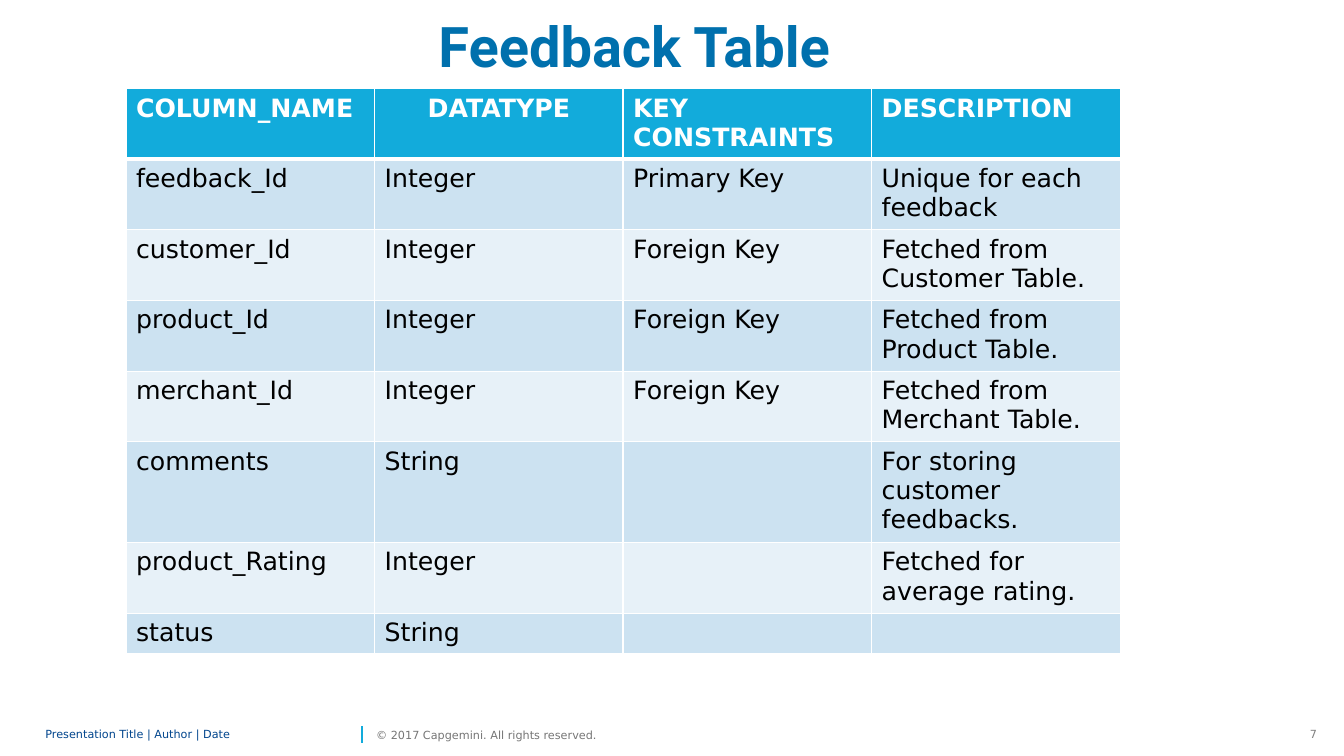
import pptx
import pptx.util
import pptx.dml.color
import pptx.enum.text
import pptx.enum.shapes
import pptx.oxml
import pptx.oxml.ns
from lxml import etree

Inches, Pt = pptx.util.Inches, pptx.util.Pt
RGBColor = pptx.dml.color.RGBColor
ALIGN = pptx.enum.text.PP_ALIGN
ANCHOR = pptx.enum.text.MSO_ANCHOR
qn = pptx.oxml.ns.qn

# Content
TITLE = "Feedback Table"
HEAD = ["COLUMN_NAME", "DATATYPE", "KEY CONSTRAINTS", "DESCRIPTION"]
ROWS = [
    ["feedback_Id", "Integer", "Primary Key", "Unique for each feedback"],
    ["customer_Id", "Integer", "Foreign Key", "Fetched from Customer Table."],
    ["product_Id", "Integer", "Foreign Key", "Fetched from Product Table."],
    ["merchant_Id", "Integer", "Foreign Key", "Fetched from Merchant Table."],
    ["comments", "String", "", "For storing customer feedbacks."],
    ["product_Rating", "Integer", "", "Fetched for average rating."],
    ["status", "String", "", ""],
]
HIGH = [0.69, 0.7, 0.7, 0.7, 0.7, 1.0, 0.7, 0.4]
FOOT = "Presentation Title | Author | Date"
RIGHTS = "© 2017 Capgemini. All rights reserved."
PAGE = "7"

# Style
SANS, ROBOTO = "DejaVu Sans", "Roboto"
WHITE = RGBColor(0xFF, 0xFF, 0xFF)
BLACK = RGBColor(0, 0, 0)
CYAN = RGBColor(0x12, 0xAB, 0xDB)
BLUE = RGBColor(0x00, 0x70, 0xAD)
NAVY = RGBColor(0x00, 0x45, 0x8D)
GRAY = RGBColor(0x80, 0x80, 0x80)
DIM = RGBColor(0x76, 0x76, 0x76)
BANDS = [RGBColor(0xCC, 0xE2, 0xF1), RGBColor(0xE7, 0xF1, 0xF8)]


def add_run(para, text, size, color, font=SANS, bold=False):
    run = para.add_run()
    run.text = text
    run.font.name = font
    run.font.size = Pt(size)
    run.font.bold = bold
    run.font.color.rgb = color


def add_text(area, text, size, color, font=SANS, bold=False, wrap=True, flush=False):
    box = slide.shapes.add_textbox(*map(Inches, area))
    frame = box.text_frame
    frame.word_wrap = wrap
    if flush:
        frame.margin_left = frame.margin_right = 0
        frame.margin_top = frame.margin_bottom = 0
        frame.vertical_anchor = ANCHOR.MIDDLE
    para = frame.paragraphs[0]
    add_run(para, text, size, color, font, bold)
    return para


def set_edges(cell, base):
    props = cell._tc.get_or_add_tcPr()
    sides = [("lnL", 1), ("lnR", 1), ("lnT", 1), ("lnB", base)]
    for spot, (tag, width) in enumerate(sides):
        line = etree.Element(qn("a:" + tag), w=str(Pt(width)))
        fill = etree.SubElement(line, qn("a:solidFill"))
        etree.SubElement(fill, qn("a:srgbClr"), val=str(WHITE))
        props.insert(spot, line)


deck = pptx.Presentation()
deck.slide_width, deck.slide_height = Inches(13.33), Inches(7.5)
slide = deck.slides.add_slide(deck.slide_layouts[6])

# Footer
page = add_text((12.89, 7.17, 0.27, 0.24), PAGE, 8, GRAY, wrap=False)
page.alignment = ALIGN.RIGHT
rule = slide.shapes.add_connector(
    pptx.enum.shapes.MSO_CONNECTOR.STRAIGHT,
    Inches(3.59), Inches(7.37), Inches(3.59), Inches(7.2))
rule.line.color.rgb = CYAN
rule.line.width = Pt(1)
etree.SubElement(rule._element.spPr, qn("a:effectLst"))
foot = add_text((0.45, 7.17, 3.09, 0.24), FOOT, 8, NAVY, flush=True)
foot.line_spacing = 0.85
add_text((3.73, 7.17, 2.43, 0.24), RIGHTS, 8, DIM, wrap=False, flush=True)

# Title
add_text((4.25, 0.07, 7.21, 0.77), TITLE, 40, BLUE, ROBOTO, True)

# Table
grid = [HEAD] + ROWS
table = slide.shapes.add_table(
    len(grid), len(HEAD), Inches(1.25), Inches(0.88),
    Inches(9.86), Inches(sum(HIGH))).table
for row, high in zip(table.rows, HIGH):
    row.height = Inches(high)
for r, texts in enumerate(grid):
    top = r == 0
    for c, text in enumerate(texts):
        cell = table.cell(r, c)
        cell.fill.solid()
        cell.fill.fore_color.rgb = CYAN if top else BANDS[(r - 1) % 2]
        set_edges(cell, 3 if top else 1)
        para = cell.text_frame.paragraphs[0]
        if text:
            add_run(para, text, 18, WHITE if top else BLACK, bold=top)
        if text == "DATATYPE":
            para.alignment = ALIGN.CENTER

deck.save("out.pptx")
